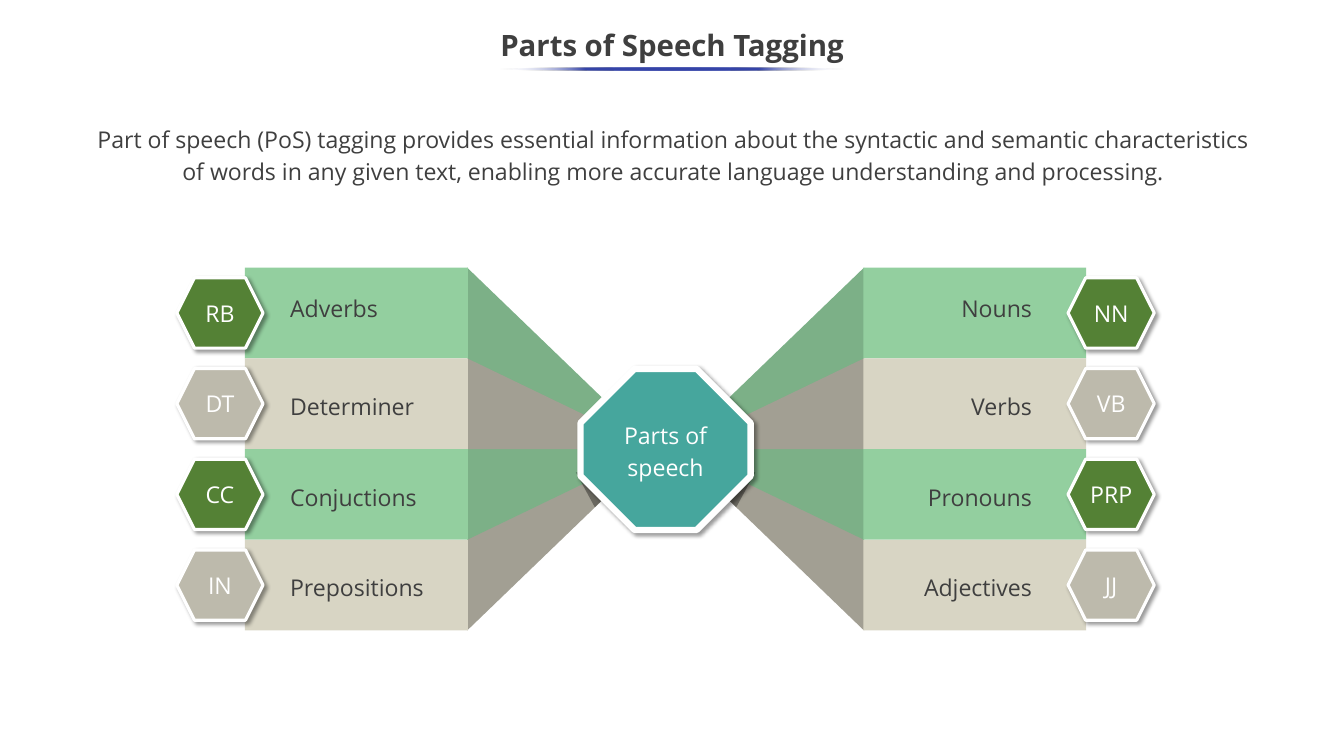
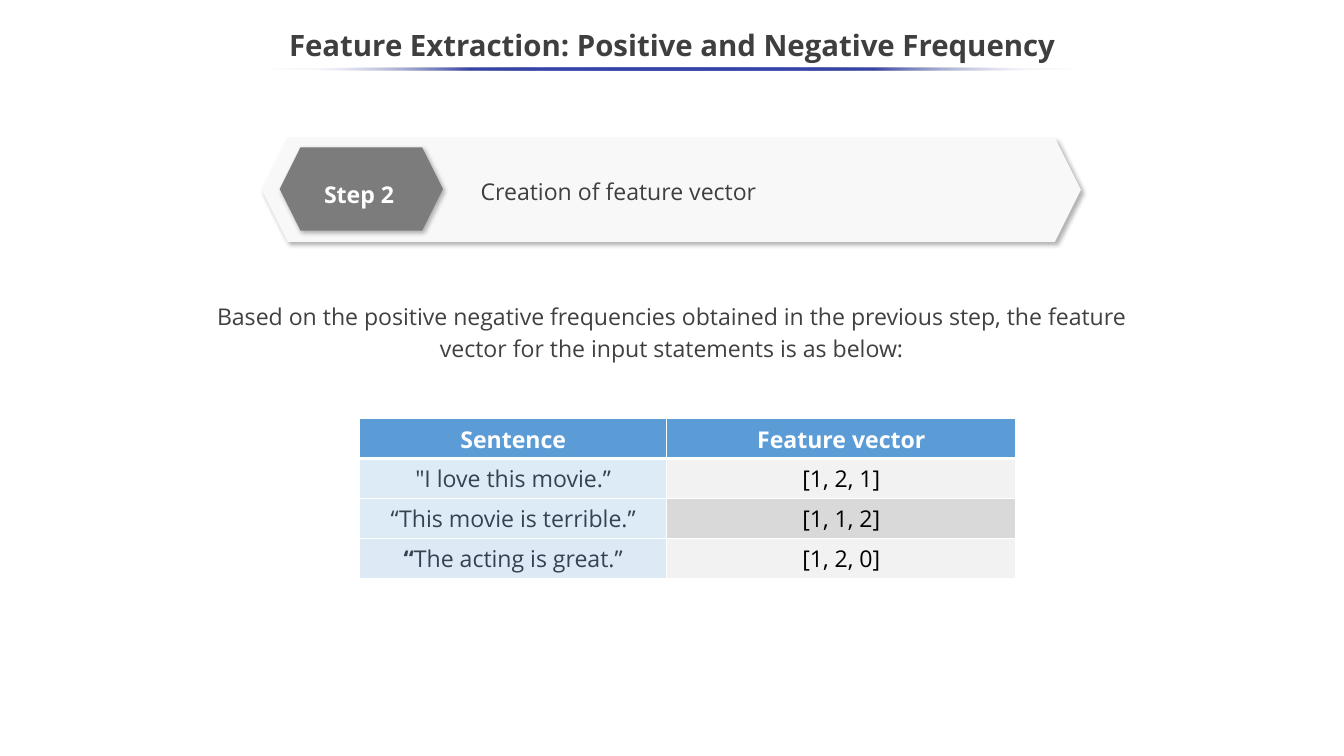
from lxml import etree
from pptx import Presentation
from pptx.dml.color import RGBColor
from pptx.enum.shapes import MSO_SHAPE
from pptx.enum.text import MSO_ANCHOR, MSO_AUTO_SIZE, PP_ALIGN
from pptx.oxml.ns import qn
from pptx.util import Inches, Pt

LEFT, CENTER, RIGHT = PP_ALIGN.LEFT, PP_ALIGN.CENTER, PP_ALIGN.RIGHT
TOP, MIDDLE = MSO_ANCHOR.TOP, MSO_ANCHOR.MIDDLE
GROW = MSO_AUTO_SIZE.SHAPE_TO_FIT_TEXT
RECT, HEXAGON = MSO_SHAPE.RECTANGLE, MSO_SHAPE.HEXAGON
OCTAGON, OVAL = MSO_SHAPE.OCTAGON, MSO_SHAPE.OVAL

FONT = "Open Sans"
WIDTH, HEIGHT = 17.78, 10
C = {
    "white": "FFFFFF", "black": "000000", "text": "3F3F3F", "body": "404040", "rule": "3645A9",
    "green": "93CF9F", "green_fan": "7CB087", "green_tag": "548135",
    "sand": "D8D5C4", "sand_fan": "A29F93", "sand_tag": "BDBAAC",
    "hub": "46A69D", "band": "F8F8F8", "step": "7C7C7C",
    "head": "5B9BD6", "sentence": "DDEBF7", "sentence_last": "DDEAF6",
    "light": "F2F2F2", "grey": "D9D9D9", "cell": "374151",
}

TAG_SHADOW = (40, 4, 3, 45)
STEP_SHADOW = (30, 4.5, 2.6, 53)

POS_TITLE = "Parts of Speech Tagging"
POS_INTRO = ("Part of speech (PoS) tagging provides essential information about the syntactic "
             "and semantic characteristics of words in any given text, enabling more accurate "
             "language understanding and processing.")
LEFT_TAGS = [("RB", "Adverbs"), ("DT", "Determiner"), ("CC", "Conjuctions"), ("IN", "Prepositions")]
RIGHT_TAGS = [("NN", "Nouns"), ("VB", "Verbs"), ("PRP", "Pronouns"), ("JJ", "Adjectives")]
LABEL_BOXES = [(3.85, 1.39), (5.14, 2.14), (6.34, 1.94), (7.54, 2.23)]

VECTOR_TITLE = "Feature Extraction: Positive and Negative Frequency"
VECTOR_INTRO = ("Based on the positive negative frequencies obtained in the previous step, "
                "the feature vector for the input statements is as below:")
HEADERS = ["Sentence", "Feature vector"]
VECTORS = [
    ([("\"I love this movie.”", False)], "sentence", "[1, 2, 1]", "light"),
    ([("“This movie is terrible.”", False)], "sentence", "[1, 1, 2]", "grey"),
    ([("“", True), ("The acting is great.”", False)], "sentence_last", "[1, 2, 0]", "light"),
]

BAR_X, BAR_Y, BAR_W, BAR_H = 3.24, 3.54, 2.95, 1.2
FAN_X, APEX_X, MID_Y = 6.18, 8.67, 5.94
TAG_X, TAG_W, TAG_H = 2.34, 1.14, 0.93
LABEL_X, LABEL_RIGHT = 3.74, 13.75
MIRROR = 17.61
HUB_SHADE = [(7.62, 6.25), (8.35, 6.25), (7.87, 6.71)]


def rgb(name):
    return RGBColor.from_string(C[name])


def add_xml(parent, tag, **attrs):
    return etree.SubElement(parent, qn(tag), {k: str(v) for k, v in attrs.items()})


def add_color(parent, name, alpha=None):
    color = add_xml(parent, "a:srgbClr", val=C[name])
    if alpha is not None:
        add_xml(color, "a:alpha", val=alpha * 1000)


def style_par(p, color, size=22, bold=False, align=CENTER, spacing=None):
    p.alignment = align
    if spacing:
        p.line_spacing = spacing
    p.font.name, p.font.size, p.font.bold = FONT, Pt(size), bold
    p.font.color.rgb = rgb(color)


def write(sp, text, color, anchor=MIDDLE, grow=False, **style):
    tf = sp.text_frame
    tf.word_wrap = True
    tf.vertical_anchor = anchor
    if grow:
        tf.auto_size = GROW
    p = tf.paragraphs[0]
    p.add_run().text = text
    style_par(p, color, **style)
    return tf


def add_text(s, box, text, color="text", **style):
    return write(s.shapes.add_textbox(*map(Inches, box)), text, color, **style)


def paint(sp, fill, line=None, shadow=None):
    sp.fill.solid()
    sp.fill.fore_color.rgb = rgb(fill)
    if line:
        sp.line.color.rgb = rgb("white")
        sp.line.width = Pt(line)
    else:
        sp.line.fill.background()
    sp.shadow.inherit = False
    if shadow:
        alpha, blur, dist, angle = shadow
        outer = add_xml(sp._element.spPr.find(qn("a:effectLst")), "a:outerShdw",
                        blurRad=Pt(blur), dist=Pt(dist), dir=angle * 60000,
                        algn="tl", rotWithShape=0)
        add_color(outer, "black", alpha)
    return sp


def add_shape(s, kind, box, fill, **look):
    return paint(s.shapes.add_shape(kind, *map(Inches, box)), fill, **look)


def add_polygon(s, points, fill):
    start, *rest = [(Inches(x), Inches(y)) for x, y in points]
    builder = s.shapes.build_freeform(*start)
    builder.add_line_segments(rest, close=True)
    return paint(builder.convert_to_shape(), fill)


def add_titled_slide(prs, title, rule_w):
    s = prs.slides.add_slide(prs.slide_layouts[6])
    add_text(s, (0, 0.25, WIDTH, 0.75), title, size=28, bold=True, spacing=0.9)
    rule = add_shape(s, OVAL, ((WIDTH - rule_w) / 2, 0.89, rule_w, 0.04), "rule")
    rule.fill.gradient()
    rule.fill.gradient_angle = 0
    stops = rule._element.spPr.find(".//" + qn("a:gsLst"))
    for stop in list(stops):
        stops.remove(stop)
    for pos in range(0, 101, 25):
        stop = add_xml(stops, "a:gs", pos=pos * 1000)
        if pos in (0, 100):
            add_color(stop, "white", 0)
        else:
            add_color(stop, "rule")
    return s


def add_wing(s, tags, mirrored):
    def flip(x, w=0):
        return MIRROR - x - w if mirrored else x

    tones = ["green", "sand"] * 2
    for i in (3, 0, 2, 1):
        outer_y = BAR_Y + BAR_H * (i if i < 2 else i + 1)
        points = [(flip(FAN_X), outer_y), (flip(APEX_X), MID_Y), (flip(FAN_X), MID_Y)]
        add_polygon(s, points, tones[i] + "_fan")
    for i, tone in enumerate(tones):
        add_shape(s, RECT, (flip(BAR_X, BAR_W), BAR_Y + i * BAR_H, BAR_W, BAR_H), tone)
    for i, (tag, label) in enumerate(tags):
        tag_y = BAR_Y + i * BAR_H + (BAR_H - TAG_H) / 2
        sp = add_shape(s, HEXAGON, (flip(TAG_X, TAG_W), tag_y, TAG_W, TAG_H),
                       tones[i] + "_tag", line=3, shadow=TAG_SHADOW)
        write(sp, tag, "white").word_wrap = False
        y, w = LABEL_BOXES[i]
        add_text(s, (LABEL_RIGHT - w if mirrored else LABEL_X, y, w, 0.47), label,
                 anchor=TOP, grow=True, align=RIGHT if mirrored else LEFT)
    shade = add_polygon(s, [(flip(x), y) for x, y in HUB_SHADE], "black")
    color = shade._element.spPr.find(qn("a:solidFill"))[0]
    add_xml(color, "a:alpha", val=35000)


def fill_cell(cell, runs, fill, color, bold=False, bottom=1):
    tc_pr = cell._tc.get_or_add_tcPr()
    for side, width in (("L", 1), ("R", 1), ("T", 1), ("B", bottom)):
        line = add_xml(tc_pr, "a:ln" + side, w=Pt(width))
        add_color(add_xml(line, "a:solidFill"), "white")
    cell.fill.solid()
    cell.fill.fore_color.rgb = rgb(fill)
    cell.vertical_anchor = MIDDLE
    cell.margin_left = cell.margin_right = cell.margin_top = Inches(0.01)
    cell.margin_bottom = 0
    p = cell.text_frame.paragraphs[0]
    for text, run_bold in runs:
        r = p.add_run()
        r.text = text
        r.font.bold = run_bold
    style_par(p, color, bold=bold)


def build_tagging(prs):
    s = add_titled_slide(prs, POS_TITLE, 4.57)
    tf = add_text(s, (1.09, 1.6, 15.63, 0.99), POS_INTRO, anchor=TOP, spacing=1.15)
    tf.margin_top = tf.margin_bottom = 0
    add_wing(s, LEFT_TAGS, False)
    add_wing(s, RIGHT_TAGS, True)
    hub = add_shape(s, OCTAGON, (7.68, 4.88, 2.25, 2.13), "hub", line=6, shadow=TAG_SHADOW)
    hub.adjustments[0] = 0.335
    write(hub, "Parts of speech", "white", spacing=1.14)


def build_vectors(prs):
    s = add_titled_slide(prs, VECTOR_TITLE, 10.64)
    add_text(s, (2.45, 3.9, 12.87, 0.95), VECTOR_INTRO, "body", anchor=TOP, grow=True, spacing=1.14)
    add_shape(s, HEXAGON, (3.46, 1.82, 10.84, 1.38), "band", shadow=STEP_SHADOW)
    add_shape(s, HEXAGON, (3.7, 1.95, 2.16, 1.1), "step", shadow=STEP_SHADOW)
    add_text(s, (6.26, 2.25, 7.19, 0.5), "Creation of feature vector", grow=True,
             align=LEFT, spacing=1.14)
    add_text(s, (4.04, 2.28, 1.42, 0.5), "Step 2", "white", anchor=TOP, grow=True,
             bold=True, spacing=1.14)

    box = map(Inches, (4.76, 5.54, 8.68, 2.11))
    table = s.shapes.add_table(len(VECTORS) + 1, len(HEADERS), *box).table
    table.horz_banding = False
    for col, w in zip(table.columns, (4.06, 4.62)):
        col.width = Inches(w)
    for i, header in enumerate(HEADERS):
        fill_cell(table.cell(0, i), [(header, True)], "head", "white", bold=True, bottom=3)
    for row, (sentence, sentence_fill, vector, vector_fill) in enumerate(VECTORS, 1):
        fill_cell(table.cell(row, 0), sentence, sentence_fill, "cell")
        fill_cell(table.cell(row, 1), [(vector, False)], vector_fill, "black")


def main():
    prs = Presentation()
    prs.slide_width, prs.slide_height = Inches(WIDTH), Inches(HEIGHT)
    build_tagging(prs)
    build_vectors(prs)
    prs.save("out.pptx")


if __name__ == "__main__":
    main()
